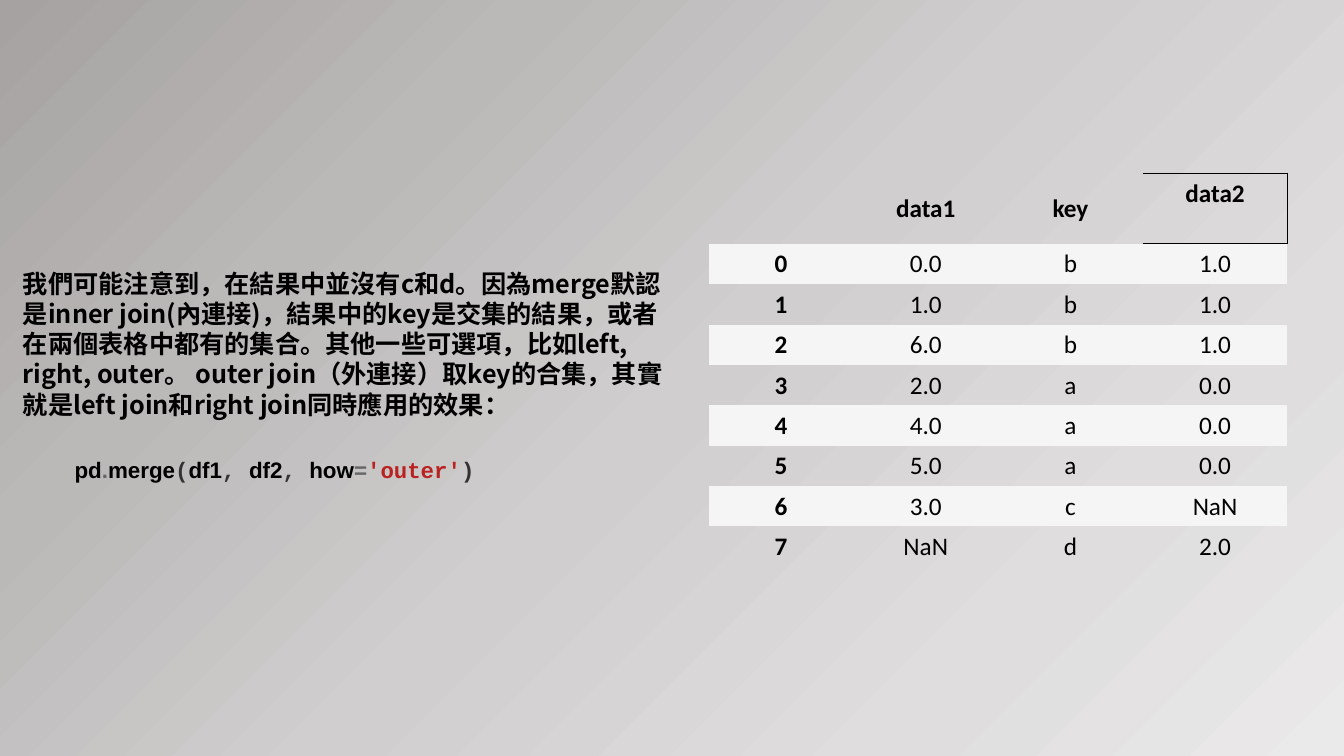
import pptx
import pptx.util
import pptx.dml.color
import pptx.enum.text
import pptx.oxml
import pptx.oxml.ns
import lxml.etree

Inches, Pt, qn = pptx.util.Inches, pptx.util.Pt, pptx.oxml.ns.qn
ALIGN, ANCHOR = pptx.enum.text.PP_ALIGN, pptx.enum.text.MSO_ANCHOR
BLACK, GREY, DARK, RED = "000000", "666666", "333333", "BA2121"
SANS, MONO = "Arial", "Courier New"
NO_STYLE = "{2D5ABB26-0587-4C30-8999-92F81FD0307C}"

BACKGROUND = [(0, "A6A2A2"), (26, "BBB8B8"), (51, "D0CECE"), (78, "DFDDDD"), (100, "EBEAEA")]
EXPLANATION = (
    "我們可能注意到，在結果中並沒有c和d。因為merge默認是inner join(內連接)，"
    "結果中的key是交集的結果，或者在兩個表格中都有的集合。其他一些可選項，"
    "比如left, right, outer。 outer join（外連接）取key的合集，"
    "其實就是left join和right join同時應用的效果："
)
CODE = [
    ("pd", SANS, BLACK), (".", SANS, GREY), ("merge", SANS, BLACK), ("(", MONO, DARK),
    ("df1", SANS, BLACK), (", ", MONO, DARK), ("df2", SANS, BLACK), (", ", MONO, DARK),
    ("how", SANS, BLACK), ("=", SANS, GREY), ("'outer'", MONO, RED), (")", MONO, DARK),
]
RESULT = [
    ["", "data1", "key", "data2"],
    ["0", "0.0", "b", "1.0"],
    ["1", "1.0", "b", "1.0"],
    ["2", "6.0", "b", "1.0"],
    ["3", "2.0", "a", "0.0"],
    ["4", "4.0", "a", "0.0"],
    ["5", "5.0", "a", "0.0"],
    ["6", "3.0", "c", "NaN"],
    ["7", "NaN", "d", "2.0"],
]


def rgb(value):
    """Turn a hex string into a colour."""
    return pptx.dml.color.RGBColor.from_string(value)


def add_run(p, text, font="Calibri", size=18, color=BLACK, bold=False):
    """Add a formatted run to a paragraph."""
    r = p.add_run()
    r.text = text
    r.font.name, r.font.size, r.font.bold = font, Pt(size), bold
    r.font.color.rgb = rgb(color)
    lxml.etree.SubElement(r.font._element, qn("a:ea"), typeface=font)
    return r


def add_text_box(slide, left, top, width, height, wrap=True):
    """Add an empty text box and return its text frame."""
    sp = slide.shapes.add_textbox(Inches(left), Inches(top), Inches(width), Inches(height))
    tf = sp.text_frame
    tf.word_wrap = wrap
    tf.auto_size = pptx.enum.text.MSO_AUTO_SIZE.SHAPE_TO_FIT_TEXT
    return tf


def set_background(slide, stops):
    """Fill the slide with a diagonal gradient."""
    fill = slide.background.fill
    fill.gradient()
    fill.gradient_angle = 315
    stop_list = slide.element.find(".//" + qn("a:gsLst"))
    stop_list.clear()
    for position, color in stops:
        gs = lxml.etree.SubElement(stop_list, qn("a:gs"), pos=str(position * 1000))
        lxml.etree.SubElement(gs, qn("a:srgbClr"), val=color)


def add_borders(cell, sides, color=BLACK):
    """Draw thin lines on the given sides of a cell."""
    tc_pr = cell._tc.get_or_add_tcPr()
    for i, side in enumerate(sides):
        ln = lxml.etree.Element(qn("a:ln" + side), w=str(Pt(0.75)))
        solid = lxml.etree.SubElement(ln, qn("a:solidFill"))
        lxml.etree.SubElement(solid, qn("a:srgbClr"), val=color)
        tc_pr.insert(i, ln)


def add_result_table(slide, rows):
    """Add the merged data as a striped table."""
    frame = slide.shapes.add_table(
        len(rows), len(rows[0]), Inches(7.03), Inches(1.72), Inches(5.74), Inches(3.9))
    table = frame.table
    table.horz_banding = False
    table._tbl.find(".//" + qn("a:tableStyleId")).text = NO_STYLE
    for i, values in enumerate(rows):
        table.rows[i].height = Inches(0.4 if i else 0.7)
        for j, value in enumerate(values):
            cell = table.cell(i, j)
            cell.vertical_anchor = ANCHOR.MIDDLE
            if i % 2:
                cell.fill.solid()
                cell.fill.fore_color.rgb = rgb("F5F5F5")
            else:
                cell.fill.background()
            if value:
                p = cell.text_frame.paragraphs[0]
                p.alignment = ALIGN.CENTER
                add_run(p, value, bold=i == 0 or j == 0)
    corner = table.cell(0, len(rows[0]) - 1)
    corner.vertical_anchor = ANCHOR.TOP
    add_borders(corner, "RTB")


def main():
    """Build the slide and save it."""
    prs = pptx.Presentation()
    prs.slide_width, prs.slide_height = Inches(13.33), Inches(7.5)
    slide = prs.slides.add_slide(prs.slide_layouts[6])
    set_background(slide, BACKGROUND)

    p = add_text_box(slide, 0.13, 2.61, 6.67, 1.62).paragraphs[0]
    p.line_spacing = Pt(21.6)
    add_run(p, EXPLANATION, font="Noto Sans CJK SC", bold=True)

    tf = add_text_box(slide, 0.74, 4.52, 4.08, 0.27, wrap=False)
    tf.margin_left = tf.margin_right = tf.margin_top = tf.margin_bottom = 0
    tf.vertical_anchor = ANCHOR.MIDDLE
    for text, font, color in CODE:
        add_run(tf.paragraphs[0], text, font=font, size=16, color=color, bold=True)

    add_result_table(slide, RESULT)
    prs.save("out.pptx")


if __name__ == "__main__":
    main()
